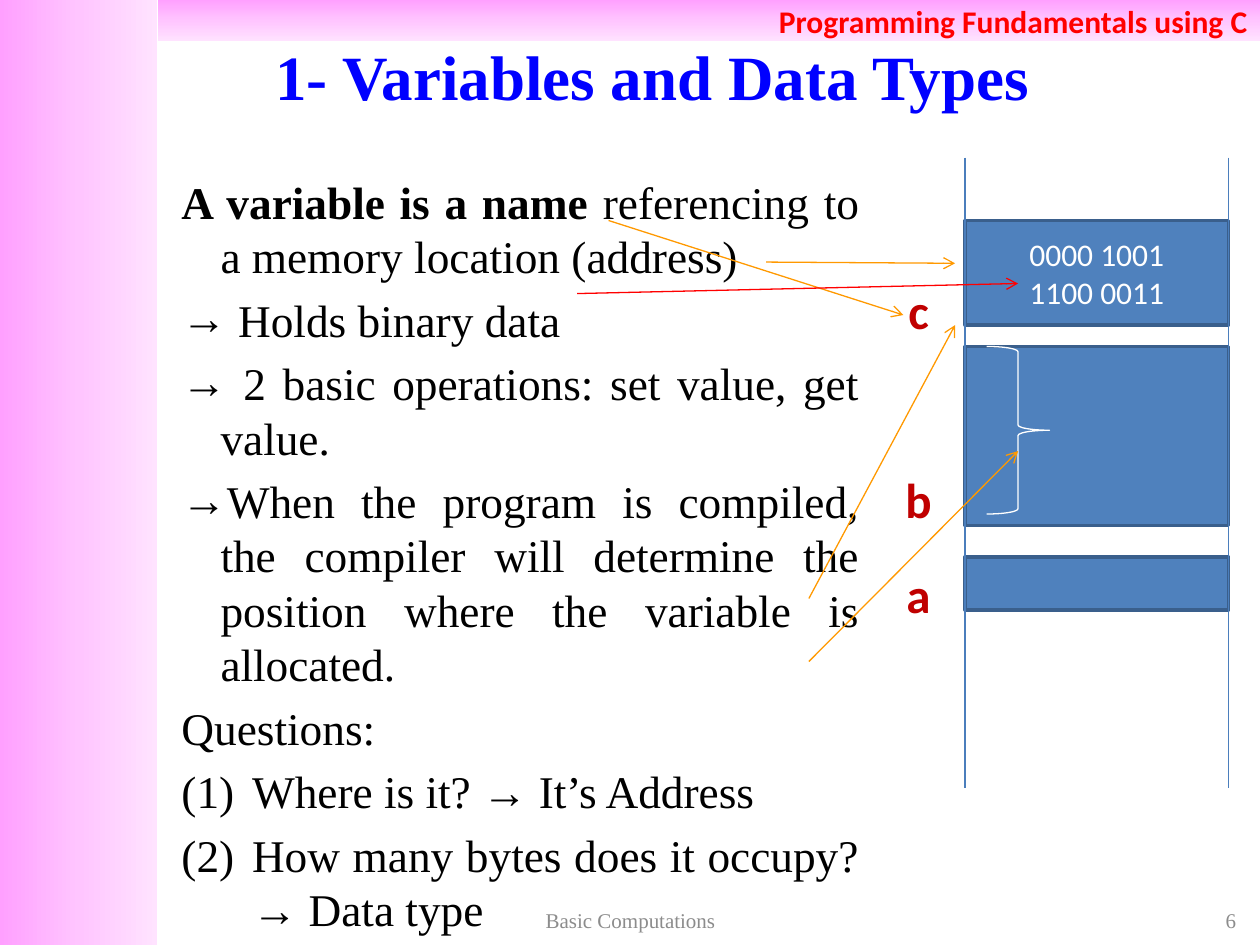
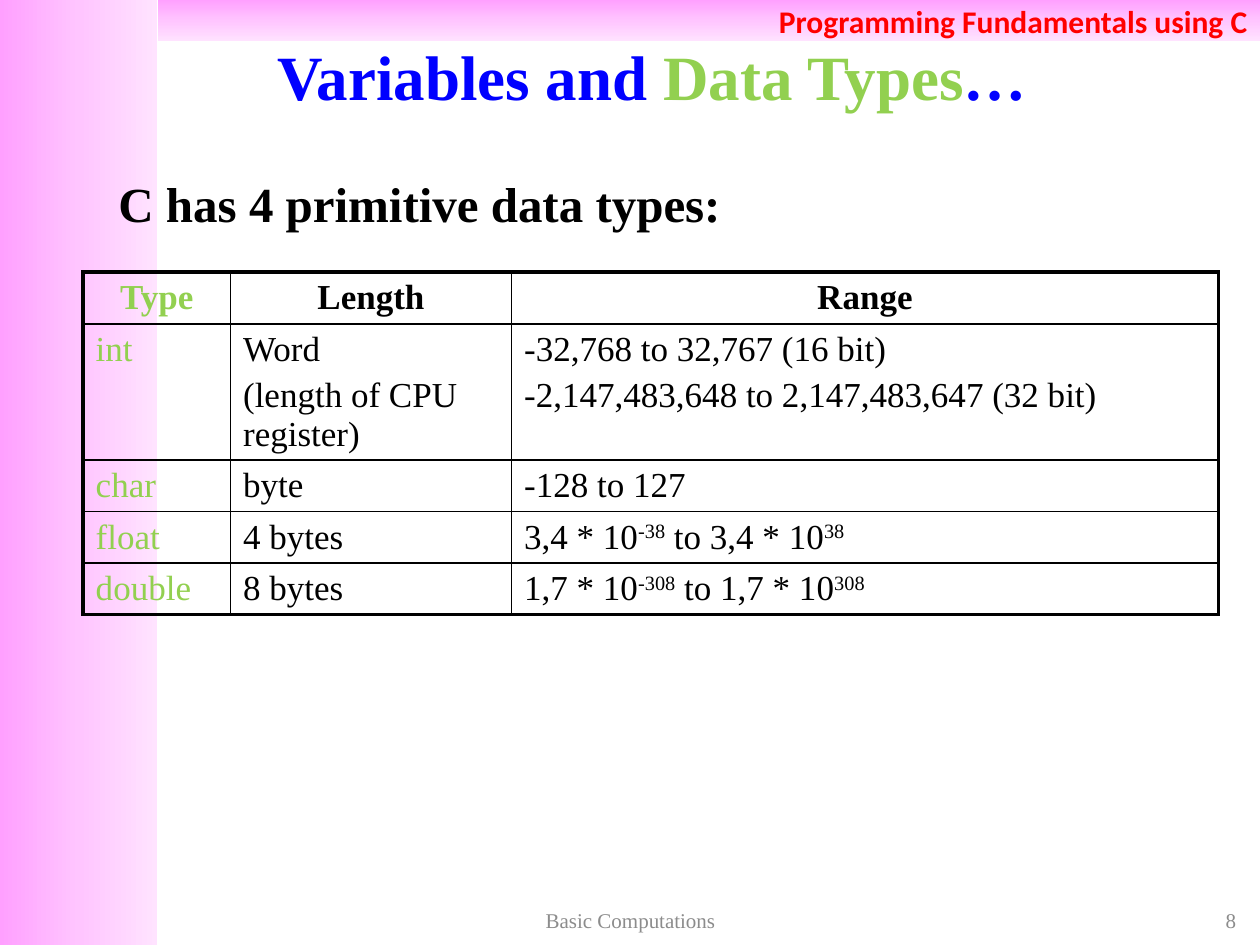
"""Build two lecture slides on C variables and primitive data types."""
from copy import deepcopy
from dataclasses import dataclass

from lxml.etree import SubElement
from pptx import Presentation
from pptx.dml.color import RGBColor
from pptx.enum.shapes import MSO_CONNECTOR, MSO_SHAPE
from pptx.enum.text import MSO_ANCHOR, MSO_AUTO_SIZE, PP_ALIGN
from pptx.oxml.ns import qn
from pptx.util import Inches, Pt


@dataclass(frozen=True)
class Theme:
    serif: str = "Times New Roman"
    sans: str = "Calibri"
    black: str = "000000"
    white: str = "FFFFFF"
    title: str = "0000FF"
    accent: str = "92D050"
    course: str = "FF0000"
    footer: str = "8C8C8C"
    memory: str = "4F81BD"
    memory_edge: str = "3A5F8C"
    boundary: str = "4B7EBC"
    label: str = "C00000"
    pointer: str = "FF9900"
    data_pointer: str = "FF0000"
    band: tuple = ("FFA0FF", "FFC5FF", "FFE3FF")
    title_size: float = 36
    heading_size: float = 28
    body_size: float = 25.9
    table_size: float = 20
    course_size: float = 18
    footer_size: float = 12
    thin: float = 0.75


THEME = Theme()

COURSE = "Programming Fundamentals using C"
CHAPTER = "Basic Computations"
CONTENT_LEFT, BODY_TOP = 0.84, 1.33

VARIABLES_TITLE = "1- Variables and Data Types"
VARIABLES_POINTS = [
    (None, [("A variable is a name ", {"bold": True}),
            ("referencing to a memory location (address) ", {})]),
    ("→", " Holds binary data"),
    ("→", " 2 basic operations: set value, get value."),
    ("→", "When the program is compiled, the compiler will determine "
          "the position where the variable is allocated. "),
    (None, "Questions:"),
    ("(1)", "Where is it? → It’s Address"),
    ("(1)", "How many bytes does it occupy? → Data type"),
]
INDENTS = {None: (0.81, -0.31), "→": (0.81, -0.31), "(1)": (1.06, -0.56)}

MEMORY_LEFT, MEMORY_WIDTH = 7.66, 2.09
MEMORY_CELLS = [
    (1.75, 0.83, ["0000 1001", "1100 0011"]),
    (2.75, 1.42, []),
    (4.42, 0.42, []),
]
VARIABLE_LABELS = [("a", 4.5), ("b", 3.75), ("c", 2.25)]
POINTERS_BELOW_BRACE = [
    ((4.83, 1.75), (7.17, 2.5), THEME.pointer),
    ((6.08, 2.08), (7.58, 2.09), THEME.pointer),
    ((6.42, 4.75), (7.58, 2.58), THEME.pointer),
]
POINTERS_ABOVE_BRACE = [
    ((6.42, 5.25), (8.08, 3.58), THEME.pointer),
    ((4.58, 2.33), (8.08, 2.25), THEME.data_pointer),
]

TYPES_TITLE = [("Variables and ", {}), ("Data Types", {"color": THEME.accent}), ("…", {})]
TYPES_HEADING = "C has 4 primitive data types:"


def power_range(mantissa, exponent):
    """Return the runs of a range from a negative to a positive power of ten."""
    base, raised = f"{mantissa} * 10", {"baseline": 30}
    return [(base, {}), (f"-{exponent}", raised), (f" to {base}", {}), (exponent, raised)]


TYPE_ROWS = [
    (["Type"], ["Length"], ["Range"]),
    (["int"], ["Word", "(length of CPU register)"],
     ["-32,768 to 32,767 (16 bit)", "-2,147,483,648 to 2,147,483,647 (32 bit)"]),
    (["char"], ["byte"], ["-128 to 127"]),
    (["float"], ["4 bytes"], [power_range("3,4", "38")]),
    (["double"], ["8 bytes"], [power_range("1,7", "308")]),
]
TYPE_COLUMNS = [1.17, 2.23, 5.61]
TYPE_HEIGHTS = [0.41, 1.08, 0.41, 0.41, 0.41]


def rgb(color):
    """Return a colour object for a hex string."""
    return RGBColor.from_string(color)


def box(left, top, width, height):
    """Return a frame in slide units."""
    return tuple(Inches(length) for length in (left, top, width, height))


def write(frame, paragraphs, *, size, color=THEME.black, font=THEME.serif, bold=False,
          align=PP_ALIGN.LEFT, anchor=MSO_ANCHOR.MIDDLE, gap=0):
    """Fill a text frame with paragraphs, each a string or a list of formatted runs."""
    frame.word_wrap = True
    frame.auto_size = MSO_AUTO_SIZE.NONE
    frame.vertical_anchor = anchor
    for index, content in enumerate(paragraphs):
        paragraph = frame.paragraphs[0] if index == 0 else frame.add_paragraph()
        paragraph.alignment = align
        paragraph.space_before = Pt(size * gap if index else 0)
        for text, changes in [(content, {})] if isinstance(content, str) else content:
            run = paragraph.add_run()
            run.text = text
            run.font.name = font
            run.font.size = Pt(size)
            run.font.bold = changes.get("bold", bold)
            run.font.color.rgb = rgb(changes.get("color", color))
            if "baseline" in changes:
                run._r.get_or_add_rPr().set("baseline", str(changes["baseline"] * 1000))


def set_bullet(paragraph, bullet, margin, indent):
    """Give a paragraph its hanging indent and its bullet, number or neither."""
    properties = paragraph._p.get_or_add_pPr()
    properties.set("marL", str(Inches(margin)))
    properties.set("indent", str(Inches(indent)))
    if bullet is None:
        SubElement(properties, qn("a:buNone"))
    elif bullet == "(1)":
        SubElement(properties, qn("a:buFont"), typeface="+mj-lt")
        SubElement(properties, qn("a:buAutoNum"), type="arabicParenBoth")
    else:
        SubElement(properties, qn("a:buChar"), char=bullet)


def place(placeholder, frame):
    """Move a placeholder to a frame and return its text frame."""
    placeholder.left, placeholder.top, placeholder.width, placeholder.height = frame
    return placeholder.text_frame


def add_figure(slide, kind, frame, fill=None, line=None, width=THEME.thin):
    """Add a flat preset shape."""
    figure = slide.shapes.add_shape(kind, *frame)
    figure.shadow.inherit = False
    if fill:
        figure.fill.solid()
        figure.fill.fore_color.rgb = rgb(fill)
    else:
        figure.fill.background()
    if line:
        figure.line.color.rgb = rgb(line)
        figure.line.width = Pt(width)
    else:
        figure.line.fill.background()
    return figure


def add_line(slide, start, end, color, arrow=False):
    """Add a thin straight line, with an open arrowhead at its end if asked."""
    line = slide.shapes.add_connector(
        MSO_CONNECTOR.STRAIGHT, *(Inches(length) for length in (*start, *end)))
    line.line.color.rgb = rgb(color)
    line.line.width = Pt(THEME.thin)
    if arrow:
        SubElement(line.line._get_or_add_ln(), qn("a:tailEnd"), type="arrow")
    SubElement(line.element.spPr, qn("a:effectLst"))


def add_band(slide, frame, angle, depth):
    """Add a gradient band behind the placeholders."""
    band = add_figure(slide, MSO_SHAPE.RECTANGLE, frame)
    band.fill.gradient()
    stops = next(band.element.iter(qn("a:gsLst")))
    stops.insert(0, deepcopy(stops[0]))
    for index, (stop, color) in enumerate(zip(band.fill.gradient_stops, THEME.band)):
        stop.position = index / 2
        stop.color.rgb = rgb(color)
    band.fill.gradient_angle = angle
    band.element.getparent().insert(depth, band.element)
    return band


def add_base(deck, title, number):
    """Add a slide with its bands, title and footer."""
    slide = deck.slides.add_slide(deck.slide_layouts[1])
    add_band(slide, box(0, 0, 1.25, 7.5), 0, 2)
    course = add_band(slide, box(1.25, 0, 8.75, 0.33), 270, 3)
    write(course.text_frame, [COURSE], size=THEME.course_size, color=THEME.course,
          font=THEME.sans, bold=True, align=PP_ALIGN.RIGHT)
    write(place(slide.shapes.title, box(CONTENT_LEFT, 0.29, 8.67, 0.62)), [title],
          size=THEME.title_size, color=THEME.title, bold=True, align=PP_ALIGN.CENTER)
    for text, left, width, align in [(number, 7.58, 2.33, PP_ALIGN.RIGHT),
                                     (CHAPTER, 3.42, 3.17, PP_ALIGN.CENTER)]:
        footer = slide.shapes.add_textbox(*box(left, 7.17, width, 0.27))
        write(footer.text_frame, [text], size=THEME.footer_size, color=THEME.footer, align=align)
    return slide


def add_memory(slide):
    """Draw the memory column, its variables and the pointers from the text."""
    for top, height, data in MEMORY_CELLS:
        cell = add_figure(slide, MSO_SHAPE.RECTANGLE,
                          box(MEMORY_LEFT, top, MEMORY_WIDTH, height),
                          THEME.memory, THEME.memory_edge, 2)
        write(cell.text_frame, data, size=THEME.course_size, color=THEME.white,
              font=THEME.sans, align=PP_ALIGN.CENTER)
    for name, top in VARIABLE_LABELS:
        label = slide.shapes.add_textbox(*box(7, top, 0.58, 0.42))
        write(label.text_frame, [name], size=THEME.heading_size, color=THEME.label,
              font=THEME.sans, bold=True, align=PP_ALIGN.CENTER)
    for x in (MEMORY_LEFT, MEMORY_LEFT + MEMORY_WIDTH):
        add_line(slide, (x, 1.25), (x, 6.25), THEME.boundary)
    for pointer in POINTERS_BELOW_BRACE:
        add_line(slide, *pointer, arrow=True)
    add_figure(slide, MSO_SHAPE.RIGHT_BRACE, box(7.83, 2.75, 0.5, 1.33), line=THEME.white)
    for pointer in POINTERS_ABOVE_BRACE:
        add_line(slide, *pointer, arrow=True)


def set_borders(cell, widths):
    """Draw black borders on the left, right, top and bottom of a cell."""
    properties = cell._tc.get_or_add_tcPr()
    for side, width in zip("LRTB", widths):
        border = SubElement(properties, qn(f"a:ln{side}"), w=str(Pt(width)))
        SubElement(SubElement(border, qn("a:solidFill")), qn("a:srgbClr"), val=THEME.black)


def add_types_table(slide):
    """Add the table of primitive types with a heavy outer border."""
    last_row, last_column = len(TYPE_ROWS) - 1, len(TYPE_COLUMNS) - 1
    table = slide.shapes.add_table(
        len(TYPE_ROWS), len(TYPE_COLUMNS),
        *box(0.66, 2.16, sum(TYPE_COLUMNS), sum(TYPE_HEIGHTS))).table
    table.first_row = table.horz_banding = False
    for column, width in zip(table.columns, TYPE_COLUMNS):
        column.width = Inches(width)
    for r, (entries, height) in enumerate(zip(TYPE_ROWS, TYPE_HEIGHTS)):
        table.rows[r].height = Inches(height)
        for c, entry in enumerate(entries):
            cell = table.cell(r, c)
            cell.margin_top, cell.margin_bottom = Inches(0.05), Inches(0.03)
            outer = (c == 0, c == last_column, r == 0, r == last_row)
            set_borders(cell, [2.25 if edge else 1 for edge in outer])
            cell.fill.background()
            write(cell.text_frame, entry, size=THEME.table_size, bold=r == 0, gap=0.2,
                  color=THEME.accent if c == 0 else THEME.black,
                  align=PP_ALIGN.CENTER if r == 0 else PP_ALIGN.LEFT,
                  anchor=MSO_ANCHOR.TOP)
            cell.vertical_anchor = MSO_ANCHOR.TOP


def main():
    """Build and save the deck."""
    deck = Presentation()
    deck.slide_width, deck.slide_height = Inches(10), Inches(7.5)

    variables = add_base(deck, VARIABLES_TITLE, "6")
    points = place(variables.placeholders[1], box(CONTENT_LEFT, BODY_TOP, 6.08, 5.37))
    write(points, [text for _, text in VARIABLES_POINTS], size=THEME.body_size,
          align=PP_ALIGN.JUSTIFY, anchor=MSO_ANCHOR.TOP, gap=0.2)
    for paragraph, (bullet, _) in zip(points.paragraphs, VARIABLES_POINTS):
        set_bullet(paragraph, bullet, *INDENTS[bullet])
    add_memory(variables)

    types = add_base(deck, TYPES_TITLE, "8")
    heading = place(types.placeholders[1], box(CONTENT_LEFT, BODY_TOP, 8.58, 0.58))
    write(heading, [TYPES_HEADING], size=THEME.heading_size, bold=True,
          align=PP_ALIGN.JUSTIFY, anchor=MSO_ANCHOR.TOP)
    set_bullet(heading.paragraphs[0], None, 0.31, -0.31)
    add_types_table(types)

    deck.save("out.pptx")


if __name__ == "__main__":
    main()
